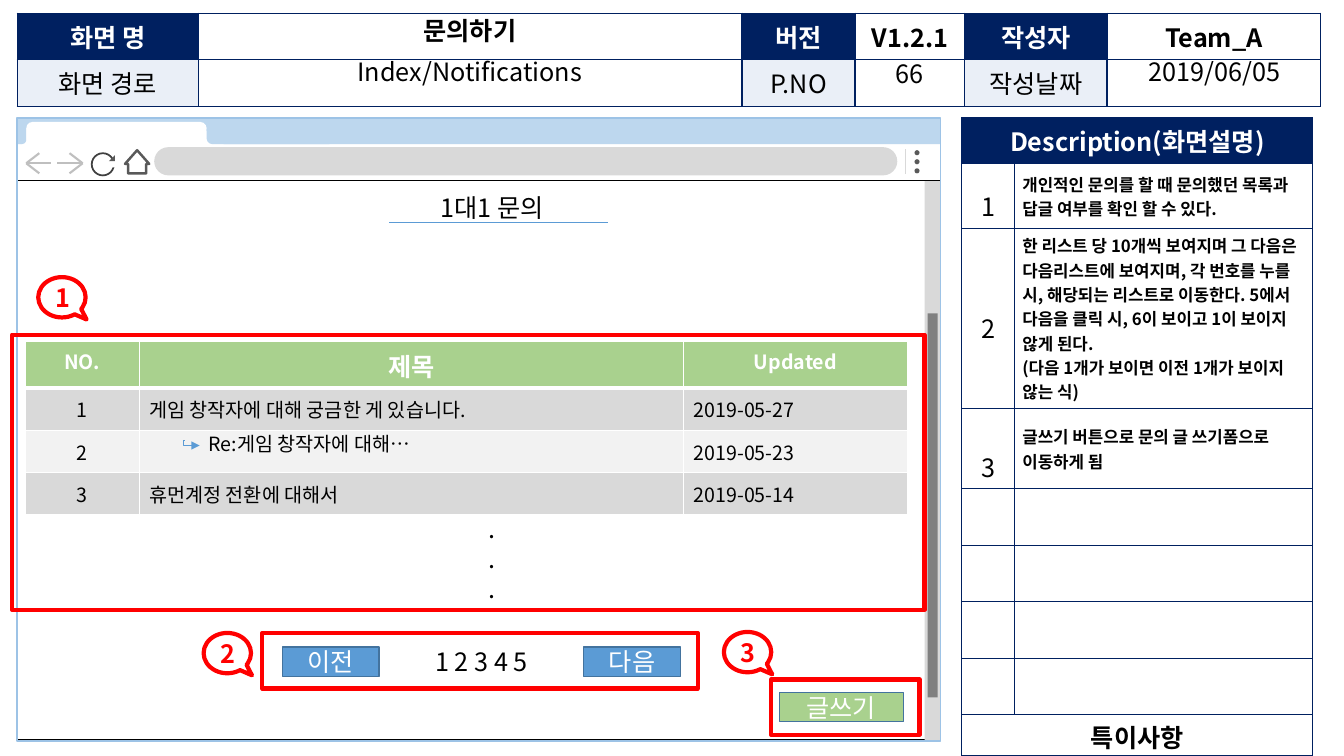
from dataclasses import dataclass

from lxml import etree
from pptx import Presentation
from pptx import util as u
from pptx.dml.color import RGBColor
from pptx.enum import shapes, text
from pptx.oxml import ns

Inches = u.Inches
KIND = shapes.MSO_SHAPE
ANCHOR = text.MSO_ANCHOR
ALIGN = text.PP_ALIGN


@dataclass(frozen=True)
class Theme:
    font: str = "Noto Sans CJK KR"
    navy: str = "002060"
    pale: str = "EAEFF7"
    white: str = "FFFFFF"
    black: str = "000000"
    sky: str = "BDD7EE"
    frame: str = "9DC3E6"
    blue: str = "5B9BD5"
    button_line: str = "43739E"
    green: str = "A9D18E"
    red: str = "FF0000"
    band: str = "D9D9D9"
    light_band: str = "F2F2F2"
    arrow: str = "BFBFBF"
    thumb: str = "808080"
    icon: str = "595959"
    refresh: str = "404040"
    large: int = 18
    medium: int = 14
    small: int = 12


THEME = Theme()


def set_values(target, values):
    for name, value in values.items():
        setattr(target, name, value)


def write_text(frame, content, color=THEME.black, size=THEME.large, bold=False,
               align=ALIGN.CENTER, spacing=None, before=None):
    """Write one paragraph for each line of content."""
    for index, line in enumerate(content.split("\n")):
        paragraph = frame.paragraphs[0] if index == 0 else frame.add_paragraph()
        set_values(paragraph, {"alignment": align, "line_spacing": spacing, "space_before": before})
        run = paragraph.add_run()
        run.text = line
        set_values(run.font, {"name": THEME.font, "size": u.Pt(size), "bold": bold})
        run.font.color.rgb = RGBColor.from_string(color)
        latin = run.font._element.find(ns.qn("a:latin"))
        east_asian = etree.Element(ns.qn("a:ea"), typeface=THEME.font)
        latin.addnext(east_asian)


def paint(fill, color):
    if color:
        fill.solid()
        fill.fore_color.rgb = RGBColor.from_string(color)
    else:
        fill.background()


def add_box(slide, kind, at, fill=None, line=None, width=1.0, adjust=(), rotation=0,
            content=None, **style):
    shape = slide.shapes.add_shape(kind, *map(Inches, at))
    shape.shadow.inherit = False
    shape.rotation = rotation
    paint(shape.fill, fill)
    paint(shape.line.fill, line)
    if line:
        shape.line.width = u.Pt(width)
    for index, value in enumerate(adjust):
        shape.adjustments[index] = value
    if content:
        shape.text_frame.vertical_anchor = ANCHOR.MIDDLE
        write_text(shape.text_frame, content, **style)
    return shape


def add_line(slide, start, end, color, width, kind=shapes.MSO_CONNECTOR.STRAIGHT):
    line = slide.shapes.add_connector(kind, *map(Inches, (*start, *end)))
    line.line.width = u.Pt(width)
    paint(line.line.fill, color)
    etree.SubElement(line._element.spPr, ns.qn("a:effectLst"))
    return line


def add_label(slide, at, content, wrap=True, anchor=ANCHOR.TOP, **style):
    frame = slide.shapes.add_textbox(*map(Inches, at)).text_frame
    set_values(frame, {"word_wrap": wrap, "vertical_anchor": anchor})
    write_text(frame, content, **style)


def set_borders(cell, color, bottom):
    properties = cell._tc.get_or_add_tcPr()
    for side, width in {"L": 1, "R": 1, "T": 1, "B": bottom}.items():
        border = etree.SubElement(properties, ns.qn(f"a:ln{side}"), w=str(u.Pt(width)))
        solid = etree.SubElement(border, ns.qn("a:solidFill"))
        etree.SubElement(solid, ns.qn("a:srgbClr"), val=color)


def add_grid(slide, corner, widths, heights, rows, border, head_bottom=1, inset=(0.1, 0.05)):
    """Add a table; each cell is a (text, style) pair."""
    size = (sum(widths), sum(heights))
    table = slide.shapes.add_table(len(rows), len(widths), *map(Inches, (*corner, *size))).table
    set_values(table, {"first_row": False, "horz_banding": False})
    for column, width in zip(table.columns, widths):
        column.width = Inches(width)
    for row, height, items in zip(table.rows, heights, rows):
        row.height = Inches(height)
        bottom = head_bottom if items is rows[0] else 1
        for cell, (content, style) in zip(row.cells, items):
            style = dict(style)
            side, edge = map(Inches, inset)
            set_borders(cell, border, bottom)
            paint(cell.fill, style.pop("fill", None))
            set_values(cell, {"margin_left": side, "margin_right": side, "margin_top": edge,
                              "margin_bottom": edge,
                              "vertical_anchor": style.pop("anchor", ANCHOR.TOP)})
            if content:
                write_text(cell.text_frame, content, **style)
    return table


def fill_placeholders(slide):
    contents = {0: ("문의하기", (1.97, 0.14, 5.38, 0.38), True),
                1: ("Index/Notifications", (1.97, 0.54, 5.38, 0.38), False),
                3: ("2019/06/05", (10.99, 0.54, 2.11, 0.38), False)}
    for placeholder in list(slide.placeholders):
        index = placeholder.placeholder_format.idx
        if index not in contents:
            placeholder._element.getparent().remove(placeholder._element)
            continue
        content, at, bold = contents[index]
        set_values(placeholder, dict(zip(("left", "top", "width", "height"), map(Inches, at))))
        set_values(placeholder.text_frame, {"vertical_anchor": ANCHOR.TOP,
                                            "auto_size": text.MSO_AUTO_SIZE.NONE})
        write_text(placeholder.text_frame, content, bold=bold, spacing=0.9, before=u.Pt(10))


def add_browser(slide):
    rect, rounded = KIND.RECTANGLE, KIND.ROUNDED_RECTANGLE
    add_box(slide, rect, (0.16, 1.78, 9.16, 5.56), THEME.white, THEME.black, 0.5)
    add_box(slide, rect, (9.17, 1.79, 0.16, 5.55), THEME.band)
    add_box(slide, rect, (0.17, 1.42, 9.16, 0.37), THEME.white, THEME.black, 0.5)
    add_box(slide, rounded, (1.53, 1.46, 7.37, 0.28), THEME.band, adjust=[0.5])
    for index in range(3):
        add_box(slide, KIND.OVAL, (9.07, 1.49 + 0.09 * index, 0.05, 0.05), THEME.icon)
    add_line(slide, (8.98, 1.48), (8.98, 1.73), THEME.band, 1)
    add_box(slide, rect, (0.17, 1.17, 9.16, 0.26), THEME.sky)
    for tip, direction in ((0.26, 1), (0.82, -1)):
        for reach, rise in ((0.25, 0), (0.13, -0.1), (0.13, 0.1)):
            add_line(slide, (tip, 1.62), (tip + direction * reach, 1.62 + rise), THEME.arrow, 1.5)
    add_box(slide, KIND.OVAL, (0.91, 1.52, 0.22, 0.22), None, THEME.refresh, 1.25)
    add_box(slide, rect, (1.09, 1.58, 0.08, 0.08), THEME.white)
    add_box(slide, KIND.ISOSCELES_TRIANGLE, (1.08, 1.54, 0.06, 0.06), THEME.icon, adjust=[1])
    add_box(slide, KIND.DOWN_ARROW, (1.24, 1.49, 0.24, 0.23), THEME.white, THEME.icon, 1.75,
            adjust=[0.75, 0.59], rotation=180)
    for at, fill, radius in (((0.26, 1.21, 1.79, 0.23), THEME.white, 0.28),
                             ((1.88, 1.3, 0.34, 0.15), THEME.white, 0.17),
                             ((2.05, 1.23, 1.27, 0.2), THEME.sky, 0.28),
                             ((0.21, 1.3, 0.13, 0.15), THEME.white, 0.17),
                             ((0.17, 1.23, 0.09, 0.2), THEME.sky, 0.46)):
        add_box(slide, rounded, at, fill, adjust=[radius])
    add_box(slide, rect, (0.17, 1.17, 9.16, 6.18), None, THEME.frame)


def add_header(slide):
    title = {"fill": THEME.navy, "color": THEME.white, "bold": True}
    label = {"fill": THEME.pale}
    rows = [[("화면 명", title), ("", {}), ("버전", title), ("V1.2.1", {"bold": True}),
             ("작성자", title), ("Team_A", {"bold": True})],
            [("화면 경로", label), ("", {}), ("P.NO", label), ("", {}),
             ("작성날짜", label), ("", {})]]
    add_grid(slide, (0.17, 0.13), [1.8, 5.39, 1.12, 1.09, 1.41, 2.12], [0.46] * 2, rows, THEME.navy)
    add_label(slide, (8.48, 0.54, 1.08, 0.38), "66", anchor=ANCHOR.MIDDLE)


def add_description(slide):
    notes = [("1", 1.5, "개인적인 문의를 할 때 문의했던 목록과 답글 여부를 확인 할 수 있다."),
             ("2", 1.5, "한 리스트 당 10개씩 보여지며 그 다음은 다음리스트에 보여지며, 각 번호를 누를 시, "
                        "해당되는 리스트로 이동한다. 5에서 다음을 클릭 시, 6이 보이고 1이 보이지 않게 된다."
                        "\n(다음 1개가 보이면 이전 1개가 보이지 않는 식)"),
             ("3", 2.0, "글쓰기 버튼으로 문의 글 쓰기폼으로 이동하게 됨")]
    note_style = {"size": THEME.small, "bold": True, "align": ALIGN.LEFT, "anchor": ANCHOR.MIDDLE}
    rows = [[("Description(화면설명)", {"fill": THEME.navy, "color": THEME.white, "bold": True}),
             ("", {})]]
    rows += [[(number, {"spacing": spacing, "anchor": ANCHOR.MIDDLE}), (note, note_style)]
             for number, spacing, note in notes]
    rows += [[("", {})] * 2 for _ in range(4)]
    rows.append([("특이사항", {"bold": True}), ("", {})])
    heights = [0.45, 0.65, 1.78, 0.8] + [0.56] * 4 + [0.41]
    table = add_grid(slide, (9.54, 1.17), [0.52, 2.96], heights, rows, THEME.navy,
                     inset=(0.08, 0.04))
    for index in (0, len(rows) - 1):
        table.cell(index, 0).merge(table.cell(index, 1))


def add_inquiries(slide):
    head = {"fill": THEME.green, "color": THEME.white, "bold": True}
    small_head = {**head, "size": THEME.medium}
    rows = [[("NO.", small_head), ("제목", head), ("Updated", small_head)]]
    inquiries = [("게임 창작자에 대해 궁금한 게 있습니다.", "2019-05-27"), ("", "2019-05-23"),
                 ("휴먼계정 전환에 대해서", "2019-05-14")]
    for number, (subject, date) in enumerate(inquiries, 1):
        style = {"fill": THEME.band if number % 2 else THEME.light_band,
                 "size": THEME.medium, "anchor": ANCHOR.MIDDLE}
        left = {**style, "align": ALIGN.LEFT}
        rows.append([(str(number), style), (subject, left), (date, left)])
    add_grid(slide, (0.25, 3.39), [1.13, 5.4, 2.22], [0.46] + [0.42] * 3, rows, THEME.white,
             head_bottom=3)
    add_label(slide, (4.75, 5.04, 0.26, 1.01), ".\n.\n.", wrap=False, align=ALIGN.LEFT)
    reply = add_line(slide, (1.83, 4.37), (1.98, 4.42), THEME.blue, 0.5, shapes.MSO_CONNECTOR.ELBOW)
    guides = reply._element.spPr.find(ns.qn("a:prstGeom")).get_or_add_avLst()
    etree.SubElement(guides, ns.qn("a:gd"), name="adj1", fmla="val -5800")
    etree.SubElement(reply.line._get_or_add_ln(), ns.qn("a:tailEnd"), type="triangle")
    add_label(slide, (1.97, 4.24, 2.93, 0.34), "Re:게임 창작자에 대해…", size=THEME.medium,
              align=ALIGN.LEFT)


def add_controls(slide):
    for content, at, fill in (("이전", (2.8, 6.42, 0.96, 0.29), THEME.blue),
                              ("다음", (5.79, 6.42, 0.96, 0.29), THEME.blue),
                              ("글쓰기", (7.73, 6.87, 1.23, 0.29), THEME.green)):
        add_box(slide, KIND.RECTANGLE, at, fill, THEME.button_line, content=content,
                color=THEME.white)
    add_label(slide, (4.07, 6.36, 1.41, 0.4), "1 2 3 4 5")


def add_callouts(slide):
    marks = [((0.12, 3.32, 9.05, 2.73), (0.38, 2.75)),
             ((2.6, 6.28, 4.32, 0.55), (2.02, 6.28)),
             ((7.65, 6.74, 1.47, 0.55), (7.18, 6.27))]
    for number, (area, corner) in enumerate(marks, 1):
        add_box(slide, KIND.RECTANGLE, area, None, THEME.red, 3)
        add_box(slide, KIND.OVAL_CALLOUT, (*corner, 0.47, 0.4), None, THEME.red, 3,
                adjust=[0.52, 0.55], content=str(number), color=THEME.red, bold=True)


def main():
    presentation = Presentation()
    set_values(presentation, {"slide_width": Inches(13.33), "slide_height": Inches(7.5)})
    slide = presentation.slides.add_slide(presentation.slide_layouts.get_by_name("Comparison"))
    fill_placeholders(slide)
    add_browser(slide)
    add_header(slide)
    add_description(slide)
    add_line(slide, (3.86, 2.21), (6.03, 2.21), THEME.blue, 0.5)
    add_label(slide, (4.27, 1.86, 1.33, 0.4), "1대1 문의", align=ALIGN.LEFT)
    add_inquiries(slide)
    add_box(slide, KIND.RECTANGLE, (9.2, 3.11, 0.1, 3.81), THEME.thumb)
    add_controls(slide)
    add_callouts(slide)
    presentation.save("out.pptx")


if __name__ == "__main__":
    main()
